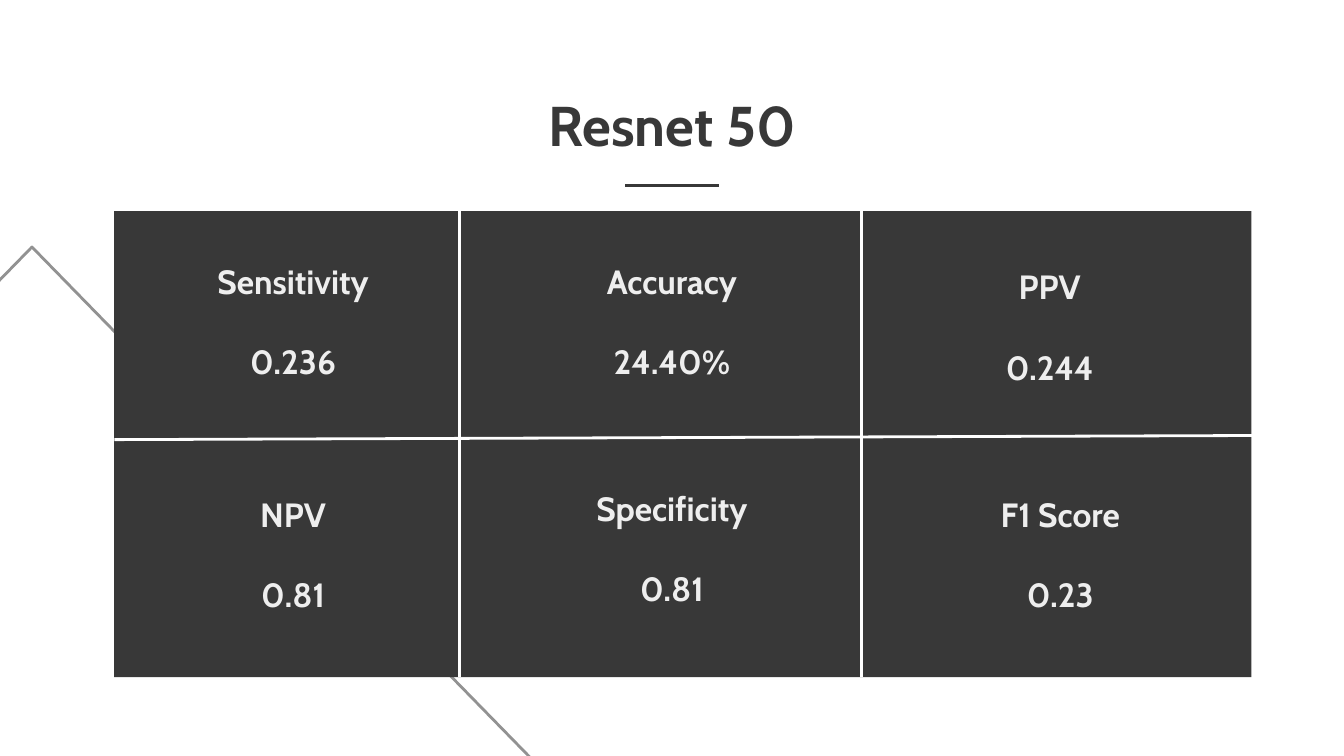
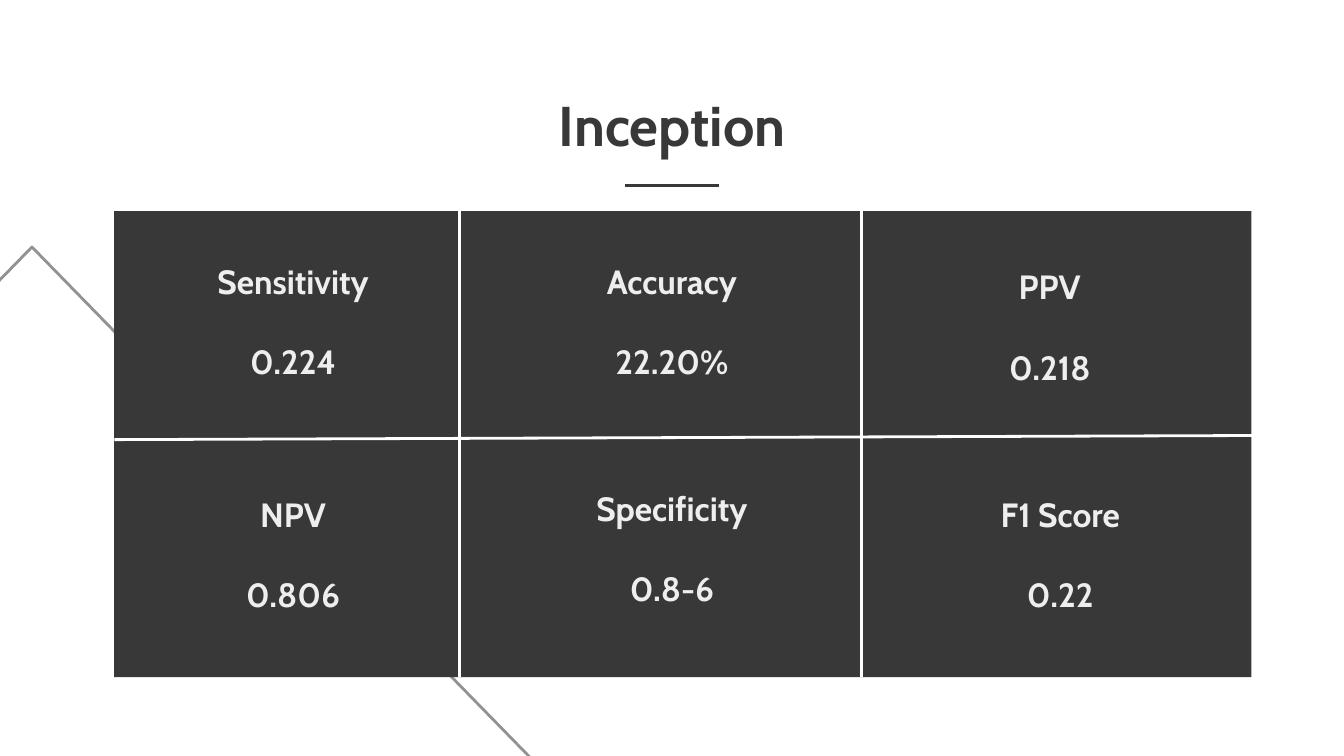
from collections import namedtuple
from dataclasses import dataclass

from lxml.etree import SubElement
from pptx import Presentation as Deck
from pptx.dml.color import RGBColor as Color
from pptx.enum.shapes import MSO_CONNECTOR as Link, MSO_SHAPE as Form
from pptx.enum.text import MSO_ANCHOR as Anchor, MSO_AUTO_SIZE as Fit, PP_ALIGN as Align
from pptx.oxml.ns import qn
from pptx.util import Cm, Pt

Box = namedtuple("Box", "x y w h")


@dataclass(frozen=True)
class Theme:
    dark: Color = Color.from_string("383838")
    pale: Color = Color.from_string("EEEEEE")
    white: Color = Color.from_string("FFFFFF")
    gray: Color = Color.from_string("929292")
    font: str = "Cabin"
    head: Pt = Pt(30)
    body: Pt = Pt(18)
    gap: Pt = Pt(21.5)
    line: Pt = Pt(1.5)
    inset: Cm = Cm(0.25)


THEME = Theme()
PEAK = Box(-9.68, 4.67, 20.57, 10.54)
PANEL = Box(2.16, 3.99, 21.49, 8.81)
HEAD = Box(5.49, 1.47, 14.43, 1.47)
TILE = (5.28, 1.12)
SPOTS = [(0.74, 1.52), (7.9, 1.52), (15.04, 1.62),
         (0.74, 5.92), (7.9, 5.81), (15.24, 5.92)]
LABELS = ["Sensitivity", "Accuracy", "PPV", "NPV", "Specificity", "F1 Score"]
MODELS = {
    "Resnet 50": ["0.236", "24.40%", "0.244", "0.81", "0.81", "0.23"],
    "Inception": ["0.224", "22.20%", "0.218", "0.806", "0.8-6", "0.22"],
}


def lengths(box):
    return [Cm(v) for v in box]


def add_form(slide, kind, box):
    form = slide.shapes.add_shape(kind, *lengths(box))
    form.shadow.inherit = False
    return form


def add_line(slide, start, end, color):
    line = slide.shapes.add_connector(Link.STRAIGHT, *lengths(start + end))
    line.line.color.rgb = color
    line.line.width = THEME.line
    SubElement(line._element.spPr, qn("a:effectLst"))


def write(shape, lines, size, color, anchor):
    frame = shape.text_frame
    frame.word_wrap = True
    frame.auto_size = Fit.NONE
    frame.vertical_anchor = anchor
    frame.margin_left = frame.margin_right = THEME.inset
    frame.margin_top = frame.margin_bottom = THEME.inset
    frame.text = "\n".join(lines)
    for par in frame.paragraphs:
        par.alignment = Align.CENTER
        font = par.font
        font.name, font.size, font.bold = THEME.font, size, True
        font.color.rgb = color
    for par in frame.paragraphs[1:]:
        par.space_before = THEME.gap


def add_peak(slide, box):
    peak = add_form(slide, Form.ISOSCELES_TRIANGLE, box)
    peak.fill.background()
    peak.line.color.rgb = THEME.gray
    peak.line.width = THEME.line


def add_head(slide, box, text):
    title = slide.shapes.title
    title.left, title.top, title.width, title.height = lengths(box)
    write(title, [text], THEME.head, THEME.dark, Anchor.TOP)
    mid, y = box.x + box.w / 2, box.y + 2.04
    add_line(slide, (mid - 0.89, y), (mid + 0.89, y), THEME.dark)


def add_panel(slide, box, values):
    panel = add_form(slide, Form.RECTANGLE, box)
    panel.fill.solid()
    panel.fill.fore_color.rgb = THEME.dark
    panel.line.fill.background()
    for x in (6.53, 14.12):
        add_line(slide, (box.x + x, box.y - 0.2), (box.x + x, box.y + box.h), THEME.white)
    add_line(slide, (box.x, box.y + 4.32), (box.x + 22.07, box.y + 4.24), THEME.white)
    for (x, y), label, value in zip(SPOTS, LABELS, values):
        tile = slide.shapes.add_textbox(*lengths((box.x + x, box.y + y) + TILE))
        write(tile, [label, value], THEME.body, THEME.pale, Anchor.MIDDLE)


def add_model(deck, name, values):
    slide = deck.slides.add_slide(deck.slide_layouts[5])
    slide.background.fill.solid()
    slide.background.fill.fore_color.rgb = THEME.white
    add_peak(slide, PEAK)
    add_panel(slide, PANEL, values)
    add_head(slide, HEAD, name)


def main():
    deck = Deck()
    deck.slide_width, deck.slide_height = Cm(25.4), Cm(14.29)
    for name, values in MODELS.items():
        add_model(deck, name, values)
    deck.save("out.pptx")


if __name__ == "__main__":
    main()
